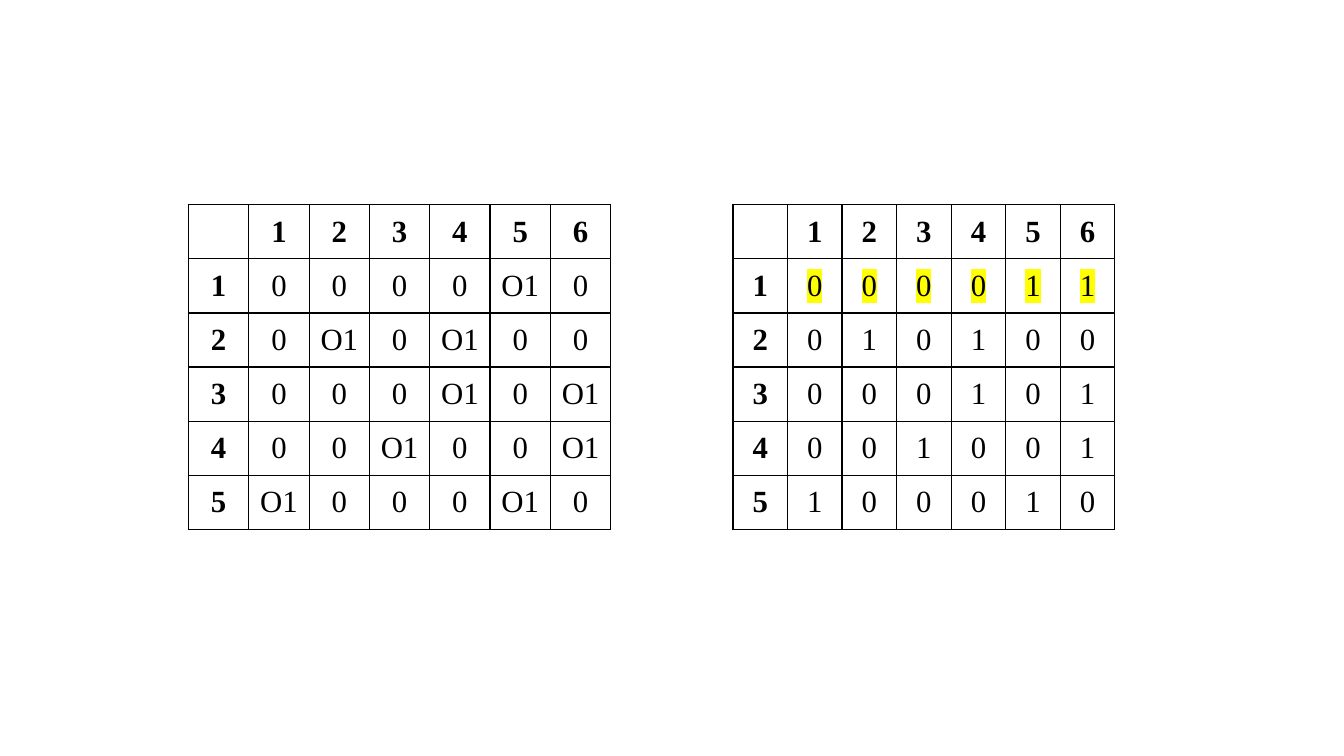
"""Build a slide with two 5 by 6 matrices, the second with its first row highlighted."""
import pptx
import pptx.dml.color
import pptx.enum.text
import pptx.oxml
import pptx.oxml.ns
import pptx.util

Cm = pptx.util.Cm
BLACK = pptx.dml.color.RGBColor(0x00, 0x00, 0x00)
WHITE = pptx.dml.color.RGBColor(0xFF, 0xFF, 0xFF)
YELLOW = pptx.dml.color.RGBColor(0xFF, 0xFF, 0x00)

BITS = ["000011", "010100", "000101", "001001", "100010"]
OPTION_BITS = ["000010", "010100", "000101", "001001", "100010"]
MATRICES = [
    {"left": 18.47, "width": 9.63, "rows": BITS, "one": "1", "marked_row": 1},
    {"left": 4.75, "width": 10.64, "rows": OPTION_BITS, "one": "O1", "marked_row": None},
]
TOP, HEIGHT = 5.16, 8.18
CELL_FORMAT = {
    "margin_left": Cm(0.18),
    "margin_right": Cm(0.18),
    "margin_top": 0,
    "margin_bottom": 0,
    "vertical_anchor": pptx.enum.text.MSO_ANCHOR.MIDDLE,
}
FONT_FORMAT = {"name": "Times New Roman", "size": pptx.util.Pt(22)}
NAMESPACE = pptx.oxml.ns.nsdecls("a")


def set_borders(cell):
    properties = cell._tc.get_or_add_tcPr()
    for position, side in enumerate("LRTB"):
        line = pptx.oxml.parse_xml(
            f'<a:ln{side} {NAMESPACE} w="{pptx.util.Pt(1)}"><a:solidFill>'
            f'<a:srgbClr val="{BLACK}"/></a:solidFill></a:ln{side}>')
        properties.insert(position, line)


def highlight(span):
    mark = pptx.oxml.parse_xml(
        f'<a:highlight {NAMESPACE}><a:srgbClr val="{YELLOW}"/></a:highlight>')
    fill = span._r.get_or_add_rPr().find(pptx.oxml.ns.qn("a:solidFill"))
    fill.addnext(mark)


def write_cell(cell, text, bold, marked):
    for name, value in CELL_FORMAT.items():
        setattr(cell, name, value)
    cell.fill.solid()
    cell.fill.fore_color.rgb = WHITE
    set_borders(cell)
    if not text:
        return
    para = cell.text_frame.paragraphs[0]
    para.alignment = pptx.enum.text.PP_ALIGN.CENTER
    span = para.add_run()
    span.text = text
    for name, value in {**FONT_FORMAT, "bold": bold}.items():
        setattr(span.font, name, value)
    span.font.color.rgb = BLACK
    if marked:
        highlight(span)


def add_matrix(page, left, width, rows, one, marked_row):
    header = [""] + [str(number + 1) for number in range(len(rows[0]))]
    grid = [header]
    for number, bits in enumerate(rows, 1):
        grid.append([str(number)] + [one if bit == "1" else bit for bit in bits])
    table = page.shapes.add_table(
        len(grid), len(header), Cm(left), Cm(TOP), Cm(width), Cm(HEIGHT)).table
    for row, texts in enumerate(grid):
        for column, text in enumerate(texts):
            is_label = row == 0 or column == 0
            marked = row == marked_row and not is_label
            write_cell(table.cell(row, column), text, is_label, marked)


deck = pptx.Presentation()
deck.slide_width, deck.slide_height = Cm(33.87), Cm(19.05)
page = deck.slides.add_slide(deck.slide_layouts[6])
for matrix in MATRICES:
    add_matrix(page, **matrix)
deck.save("out.pptx")
